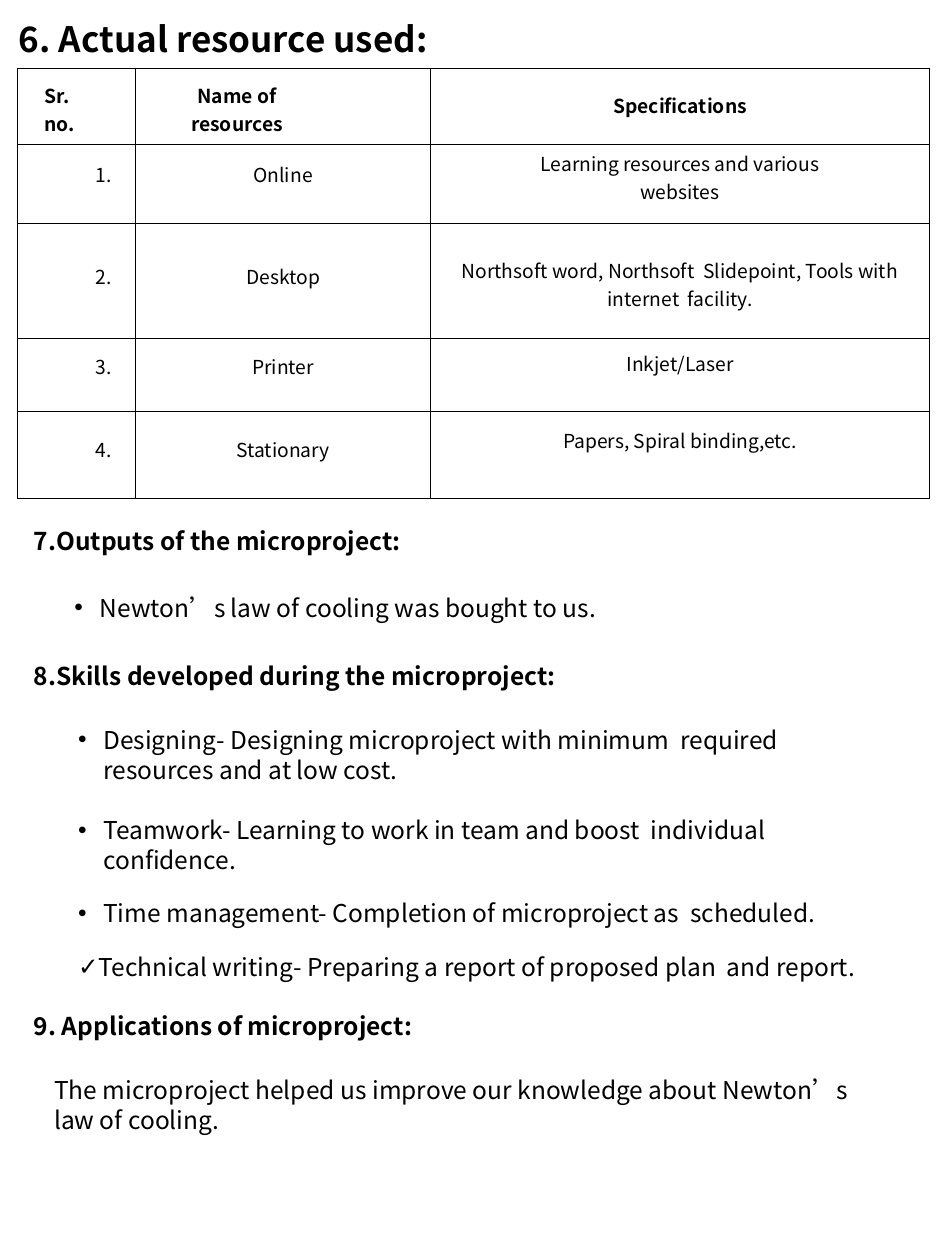
from dataclasses import dataclass

from lxml.etree import SubElement
from pptx import Presentation
from pptx.dml.color import RGBColor
from pptx.enum.text import MSO_ANCHOR as Anchor, MSO_AUTO_SIZE as AutoSize, PP_ALIGN as Align
from pptx.oxml import parse_xml
from pptx.oxml.ns import nsdecls, qn
from pptx.util import Pt


@dataclass(frozen=True)
class Theme:
    font: str = "Noto Sans CJK TC"
    ink: RGBColor = RGBColor(0, 0, 0)
    paper: RGBColor = RGBColor(255, 255, 255)
    title: float = 20
    body: float = 14
    table: float = 11
    rule: float = 0.5


def apply(target, values):
    for name, value in values.items():
        setattr(target, name, value)


class Report:
    """Holds the theme and the current slide, and adds each kind of element."""

    def __init__(self, width, height, theme):
        self.theme = theme
        self.deck = Presentation()
        apply(self.deck, {"slide_width": Pt(width), "slide_height": Pt(height)})
        self.slide = self.deck.slides.add_slide(self.deck.slide_layouts[1])
        background = self.slide.background.fill
        background.solid()
        background.fore_color.rgb = theme.paper

    def set_text(self, paragraph, words, size, bold=False, indent=(0, 0), bullet=None, **layout):
        apply(paragraph, layout)
        props = paragraph._p.get_or_add_pPr()
        for name, value in zip(("marL", "indent"), indent):
            props.set(name, str(int(Pt(value))))
        if bullet is None:
            SubElement(props, qn("a:buNone"))
        elif isinstance(bullet, int):
            SubElement(props, qn("a:buAutoNum"), type="arabicPeriod", startAt=str(bullet))
        else:
            SubElement(props, qn("a:buChar"), char=bullet)
        for number, line in enumerate(words.split("\v")):
            if number:
                paragraph.add_line_break()
            run = paragraph.add_run()
            run.text = line
            apply(run.font, {"name": self.theme.font, "size": Pt(size), "bold": bold})
            run.font.color.rgb = self.theme.ink
            SubElement(run._r.get_or_add_rPr(), qn("a:ea"), typeface=self.theme.font)

    def place(self, holder, left, top, width, height):
        apply(holder, {"left": Pt(left), "top": Pt(top), "width": Pt(width), "height": Pt(height)})
        frame = holder.text_frame
        apply(frame, {"word_wrap": True, "auto_size": AutoSize.NONE, "vertical_anchor": Anchor.TOP,
                      "margin_left": 0, "margin_right": 0, "margin_top": 0, "margin_bottom": 0})
        return frame

    def title(self, words, box):
        frame = self.place(self.slide.shapes.title, *box)
        self.set_text(frame.paragraphs[0], words, self.theme.title, True, alignment=Align.LEFT,
                      line_spacing=Pt(24.5), space_before=Pt(0))

    def body(self, entries, box):
        frame = self.place(self.slide.placeholders[1], *box)
        for number, (words, gap, look) in enumerate(entries):
            paragraph = frame.add_paragraph() if number else frame.paragraphs[0]
            self.set_text(paragraph, words, self.theme.body, alignment=Align.LEFT,
                          line_spacing=Pt(17.2), space_before=Pt(gap), **look)

    def border(self, cell):
        props = cell._tc.get_or_add_tcPr()
        for place, side in enumerate("LRTB"):
            props.insert(place, parse_xml(
                f'<a:ln{side} {nsdecls("a")} w="{int(Pt(self.theme.rule))}"><a:solidFill>'
                f'<a:srgbClr val="{self.theme.ink}"/></a:solidFill></a:ln{side}>'))

    def table(self, rows, columns, heights, left, top):
        table = self.slide.shapes.add_table(
            len(rows), len(columns), Pt(left), Pt(top), Pt(sum(columns)), Pt(sum(heights))).table
        apply(table, {"first_row": False, "horz_banding": False})
        for column, width in zip(table.columns, columns):
            column.width = Pt(width)
        for row, height, entries in zip(table.rows, heights, rows):
            row.height = Pt(height)
            for cell, (lines, offset, look) in zip(row.cells, entries):
                self.fill_cell(cell, lines, offset, dict(look))

    def fill_cell(self, cell, lines, offset, look):
        apply(cell, {"margin_left": 0, "margin_right": Pt(look.pop("right", 0)),
                     "margin_top": Pt(offset), "margin_bottom": 0,
                     "vertical_anchor": Anchor.TOP})
        cell.fill.background()
        self.border(cell)
        for number, words in enumerate(lines):
            paragraph = cell.text_frame.add_paragraph() if number else cell.text_frame.paragraphs[0]
            self.set_text(paragraph, words, self.theme.table, **look)


NUMBER = {"alignment": Align.RIGHT, "right": 13.7}
CENTRE = {"alignment": Align.CENTER}
HEADER = {"bold": True}
RESOURCES = [
    ("Online", 8.6, ["Learning resources and various", "websites"], 2.5),
    ("Desktop", 21.9,
     ["Northsoft word, Northsoft  Slidepoint, Tools with\vinternet  facility."], 18.5),
    ("Printer", 7.9, ["Inkjet/Laser"], 5.8),
    ("Stationary", 13.2, ["Papers, Spiral binding,etc."], 7.9),
]
SKILL = {"indent": (40.3, -14.4), "bullet": "•"}
SECTIONS = [
    ("Outputs of the microproject:", 0,
     {"indent": (12.2, -11.5), "bullet": 7, "bold": True}),
    ("Newton’s law of cooling was bought to us.", 21.1,
     {"indent": (38.2, -14.4), "bullet": "•", "level": 1}),
    ("Skills developed during the microproject:", 21.7,
     {"indent": (12.2, -11.5), "bullet": 8, "bold": True}),
    ("Designing- Designing microproject with minimum  required resources and at low cost.",
     19.4, SKILL),
    ("Teamwork- Learning to work in team and boost  individual confidence.", 17.1, SKILL),
    ("Time management- Completion of microproject as  scheduled.", 13.1, SKILL),
    ("Technical writing- Preparing a report of proposed plan  and report.", 13.7,
     {"indent": (37.4, -11.5), "bullet": "✓"}),
    ("9. Applications of microproject:", 16.5, {"indent": (0.7, 0), "bold": True}),
    ("The microproject helped us improve our knowledge about Newton’s law of cooling.", 19.4,
     {"indent": (12.2, 0)}),
]


def main():
    report = Report(540, 720, Theme())
    report.title("6. Actual resource used:", (10.8, 9.4, 520, 25.2))
    rows = [[
        (["Sr.", "no."], 7.2, {**HEADER, "indent": (15.5, 0)}),
        (["Name of\vresources"], 7.2, {**HEADER, "indent": (31.7, 3.6)}),
        (["Specifications"], 13, {**HEADER, **CENTRE}),
    ]]
    for number, (resource, offset, details, details_offset) in enumerate(RESOURCES, 1):
        rows.append([([f"{number}."], offset, NUMBER), ([resource], offset, CENTRE),
                     (details, details_offset, CENTRE)])
    report.table(rows, (67.5, 168.6, 285.2), (43.9, 44.9, 65.9, 41.8, 49.4), 10, 38.9)
    report.body(SECTIONS, (18.7, 299.9, 478, 372))
    report.deck.save("out.pptx")


if __name__ == "__main__":
    main()
